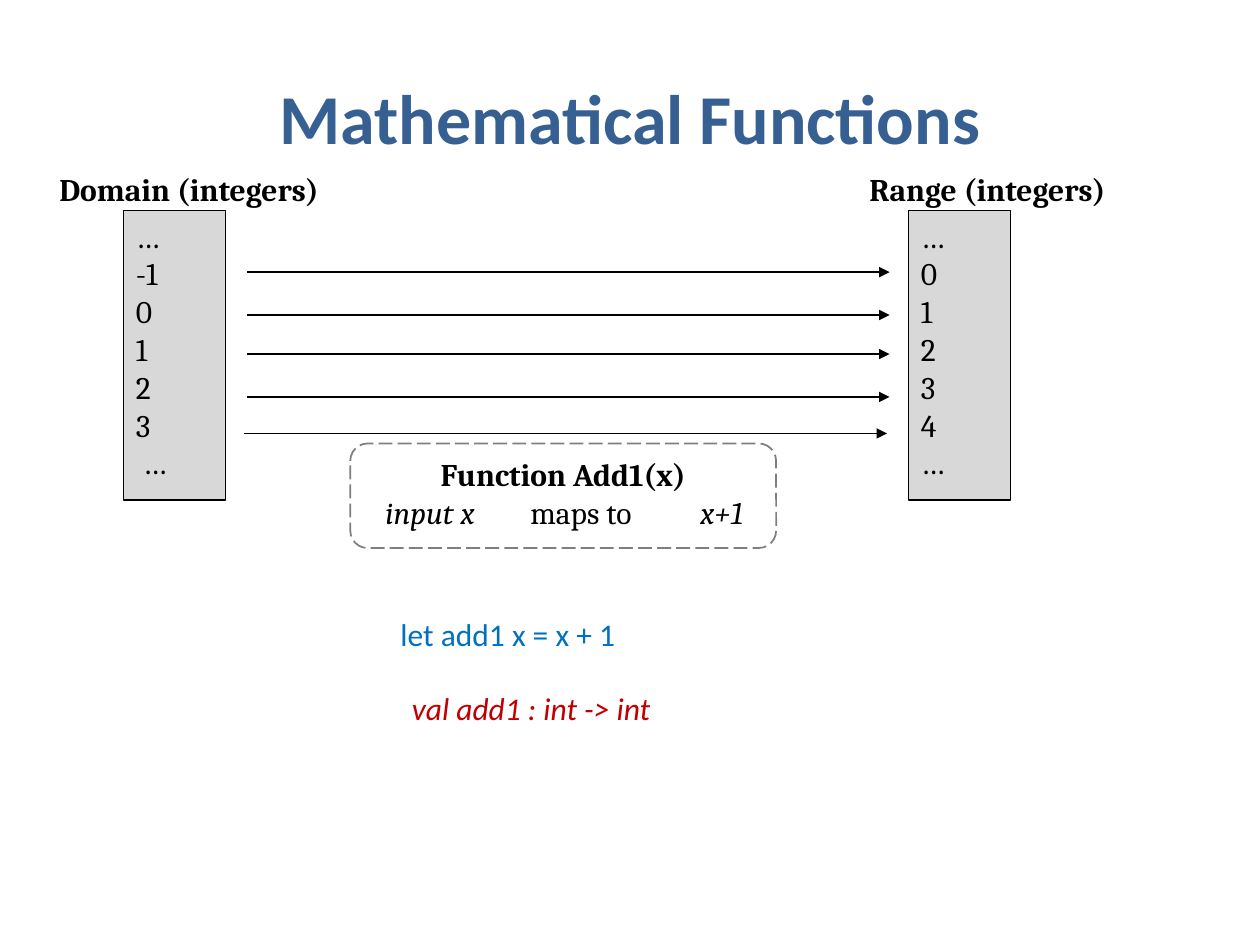
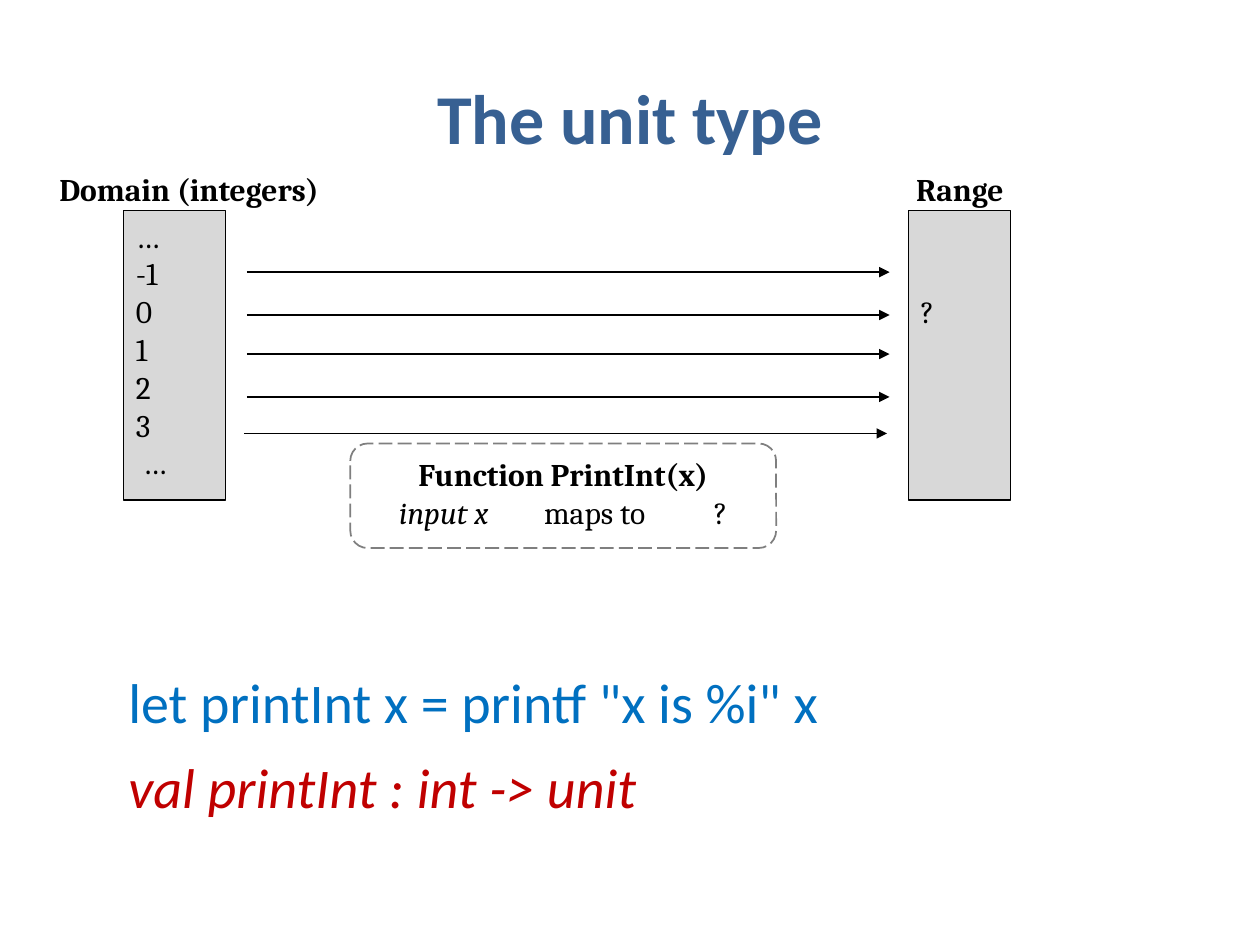
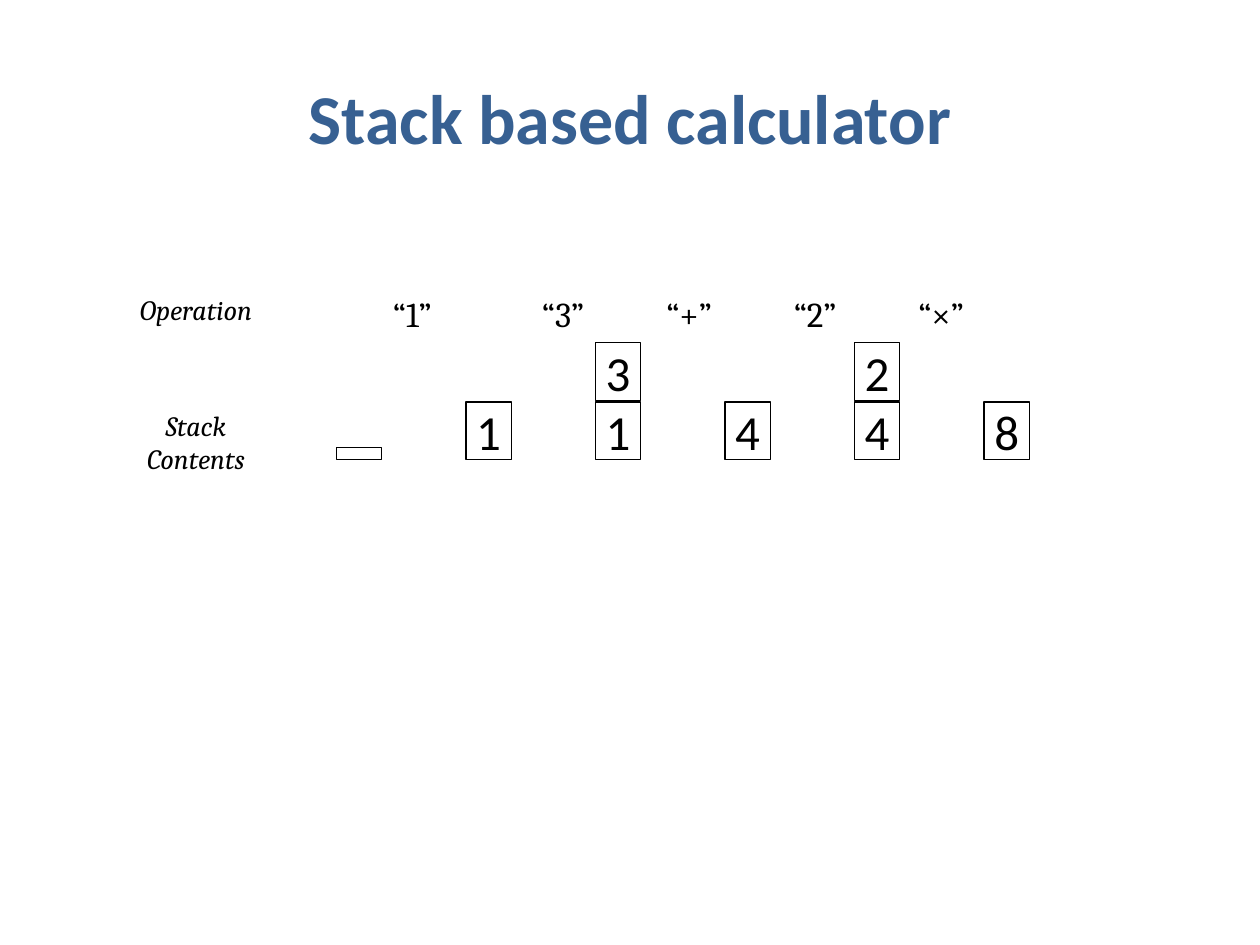
from dataclasses import dataclass
from lxml.etree import SubElement
from pptx import Presentation
from pptx.dml.color import RGBColor
from pptx.enum.dml import MSO_LINE
from pptx.enum.shapes import MSO_CONNECTOR, MSO_SHAPE
from pptx.enum.text import MSO_ANCHOR, PP_ALIGN
from pptx.oxml.ns import qn
from pptx.shapes.autoshape import Shape
from pptx.slide import Slide
from pptx.util import Inches, Pt

COLORS = {
    "title": "376092",
    "text": "000000",
    "panel": "D8D8D8",
    "cell": "FFFFFF",
    "dash": "7F7F7F",
    "code": "0070C0",
    "signature": "C00000",
}
HEADING_FONT, BODY_FONT = "Calibri", "Cambria"
LEFT, CENTER = PP_ALIGN.LEFT, PP_ALIGN.CENTER


@dataclass(frozen=True)
class Box:
    """A rectangle on the slide, in inches."""
    left: float
    top: float
    width: float
    height: float


@dataclass(frozen=True)
class Style:
    """The look of a run of text."""
    size: int = 18
    font: str = BODY_FONT
    color: str = "text"
    bold: bool = False
    italic: bool = False


@dataclass(frozen=True)
class Run:
    """A piece of text with one style."""
    text: str
    style: Style = Style()


@dataclass(frozen=True)
class CodeLine:
    """A line of code below the mapping."""
    box: Box
    run: Run


@dataclass(frozen=True)
class Mapping:
    """A function from a domain to a range, with its code."""
    title: str
    range_label: str
    range_label_box: Box
    range_values: list[str]
    range_inset: float
    function_name: str
    result: Run
    rule_indent: float
    code_lines: list[CodeLine]


TITLE = Style(40, HEADING_FONT, "title", bold=True)
BODY = Style()
BOLD = Style(bold=True)
ITALIC = Style(italic=True)
ROW_LABEL = Style(16, italic=True)
OPERATION = Style(20)
STACK_VALUE = Style(28, HEADING_FONT)


def code_style(size: int) -> Style:
    """Return the style of a definition."""
    return Style(size, HEADING_FONT, "code")


def signature_style(size: int) -> Style:
    """Return the style of a type signature."""
    return Style(size, HEADING_FONT, "signature", italic=True)


def write(shape: Shape, lines: list[list[Run]], align: PP_ALIGN = LEFT,
          anchor: MSO_ANCHOR = MSO_ANCHOR.TOP, inset: float | None = None) -> None:
    """Write lines of runs into a shape, one paragraph a line."""
    frame = shape.text_frame
    frame.word_wrap = True
    frame.vertical_anchor = anchor
    if inset is not None:
        frame.margin_left = frame.margin_right = Inches(inset)
        frame.margin_top = frame.margin_bottom = Inches(inset)
    for index, line in enumerate(lines):
        paragraph = frame.add_paragraph() if index else frame.paragraphs[0]
        paragraph.alignment = align
        for item in line:
            run = paragraph.add_run()
            run.text = item.text
            run.font.size = Pt(item.style.size)
            run.font.name = item.style.font
            run.font.bold = item.style.bold
            run.font.italic = item.style.italic
            run.font.color.rgb = RGBColor.from_string(COLORS[item.style.color])


def add_text(slide: Slide, box: Box, lines: list[list[Run]], align: PP_ALIGN = LEFT,
             anchor: MSO_ANCHOR = MSO_ANCHOR.TOP) -> None:
    """Add a wrapping text box."""
    shape = slide.shapes.add_textbox(Inches(box.left), Inches(box.top),
                                     Inches(box.width), Inches(box.height))
    write(shape, lines, align, anchor)


def add_box(slide: Slide, kind: MSO_SHAPE, box: Box, fill: str | None = None,
            line: str | None = None, width: float = 0.75) -> Shape:
    """Add a preset shape without a shadow."""
    shape = slide.shapes.add_shape(kind, Inches(box.left), Inches(box.top),
                                   Inches(box.width), Inches(box.height))
    shape.shadow.inherit = False
    if fill:
        shape.fill.solid()
        shape.fill.fore_color.rgb = RGBColor.from_string(COLORS[fill])
    else:
        shape.fill.background()
    if line:
        shape.line.color.rgb = RGBColor.from_string(COLORS[line])
        shape.line.width = Pt(width)
    else:
        shape.line.fill.background()
    return shape


def add_arrow(slide: Slide, left: float, top: float, length: float) -> None:
    """Add a thin horizontal arrow that points right."""
    arrow = slide.shapes.add_connector(MSO_CONNECTOR.STRAIGHT, Inches(left), Inches(top),
                                       Inches(left + length), Inches(top))
    arrow.line.color.rgb = RGBColor.from_string(COLORS["text"])
    arrow.line.width = Pt(0.75)
    properties = arrow.line._get_or_add_ln()
    SubElement(properties, qn("a:tailEnd"), type="triangle")
    SubElement(properties.getparent(), qn("a:effectLst"))


def add_label(slide: Slide, box: Box, text: str) -> None:
    """Add the heading above a set of values."""
    label = add_box(slide, MSO_SHAPE.ROUNDED_RECTANGLE, box)
    write(label, [[Run(text, BOLD)]], inset=0)


def add_values(slide: Slide, left: float, values: list[str], top_inset: float = 0.05) -> None:
    """Add a grey panel that lists a set of values."""
    panel = add_box(slide, MSO_SHAPE.RECTANGLE, Box(left, 1.67, 0.81, 2.3), "panel", "text")
    write(panel, [[Run(value)] for value in values])
    panel.text_frame.margin_top = Inches(top_inset)


def add_rule(slide: Slide, mapping: Mapping) -> None:
    """Add the dashed box that states the rule of the function."""
    shape = add_box(slide, MSO_SHAPE.ROUNDED_RECTANGLE, Box(2.78, 3.52, 3.38, 0.83),
                    line="dash", width=1)
    shape.line.dash_style = MSO_LINE.LONG_DASH
    write(shape, [[Run(f"Function {mapping.function_name}(x)", BOLD)],
                  [Run("\tinput x", ITALIC), Run("\tmaps to\t"), mapping.result]], CENTER)
    rule = shape.text_frame.paragraphs[1]
    rule.alignment = LEFT
    tabs = SubElement(rule._p.get_or_add_pPr(), qn("a:tabLst"))
    for offset in (0, 1.15, 2.5):
        SubElement(tabs, qn("a:tab"), pos=str(Inches(mapping.rule_indent + offset)), algn="l")


def add_slide(presentation: Presentation, title: str) -> Slide:
    """Add a blank slide with the shared title."""
    slide = presentation.slides.add_slide(presentation.slide_layouts[6])
    add_text(slide, Box(0.5, 0.3, 9, 1.25), [[Run(title, TITLE)]], CENTER, MSO_ANCHOR.MIDDLE)
    return slide


def add_mapping_slide(presentation: Presentation, mapping: Mapping) -> None:
    """Add a slide that maps a domain to a range."""
    slide = add_slide(presentation, mapping.title)
    add_rule(slide, mapping)
    add_values(slide, 0.98, ["…", "-1", "0", "1", "2", "3", " …"])
    add_label(slide, Box(0.45, 1.33, 2.32, 0.43), "Domain (integers)")
    add_label(slide, mapping.range_label_box, mapping.range_label)
    add_values(slide, 7.21, mapping.range_values, mapping.range_inset)
    for left, top in ((1.96, 2.16), (1.96, 2.5), (1.96, 2.81), (1.96, 3.15), (1.94, 3.44)):
        add_arrow(slide, left, top, 5.1)
    for code_line in mapping.code_lines:
        add_text(slide, code_line.box, [[code_line.run]])


def add_stack_slide(presentation: Presentation) -> None:
    """Add the slide that steps through a stack calculation."""
    slide = add_slide(presentation, "Stack based calculator")
    add_text(slide, Box(0.83, 2.27, 1.45, 0.45), [[Run("Operation", ROW_LABEL)]], CENTER)
    add_text(slide, Box(0.83, 3.19, 1.45, 0.71),
             [[Run("Stack", ROW_LABEL)], [Run("Contents", ROW_LABEL)]], CENTER)
    for step, operation in enumerate("13+2×"):
        add_text(slide, Box(3.02 + step, 2.27, 0.9, 0.45),
                 [[Run(f"“{operation}”", OPERATION)]], CENTER if step else LEFT)

    stack_left, stack_step, cell_width = 2.67, 1.028, 0.36
    add_box(slide, MSO_SHAPE.RECTANGLE, Box(stack_left, 3.55, cell_width, 0.1), "cell", "text")
    for step, stack in enumerate(("1", "13", "4", "42", "8"), start=1):
        for level, value in enumerate(stack):
            box = Box(stack_left + step * stack_step, 3.19 - level * 0.47, cell_width, 0.46)
            cell = add_box(slide, MSO_SHAPE.RECTANGLE, box, "cell", "text")
            write(cell, [[Run(value, STACK_VALUE)]], CENTER, MSO_ANCHOR.MIDDLE, 0)


MAPPINGS = [
    Mapping(
        "Mathematical Functions", "Range (integers)", Box(6.88, 1.33, 2.53, 0.43),
        ["…", "0", "1", "2", "3", "4", "…"], 0.05, "Add1", Run("x+1", ITALIC), 0.14,
        [CodeLine(Box(3.08, 4.83, 3.08, 0.71), Run("let add1 x = x + 1", code_style(18))),
         CodeLine(Box(3.17, 5.42, 3.08, 0.71),
                  Run("val add1 : int -> int", signature_style(18)))],
    ),
    Mapping(
        "The unit type", "Range", Box(7.25, 1.33, 1.25, 0.43),
        ["?"], 0.65, "PrintInt", Run("?"), 0.25,
        [CodeLine(Box(0.92, 5.25, 8.33, 0.64),
                  Run('let printInt x = printf "x is %i" x', code_style(32))),
         CodeLine(Box(0.92, 5.92, 7.58, 0.64),
                  Run("val printInt : int -> unit", signature_style(32)))],
    ),
]

presentation = Presentation()
presentation.slide_width = Inches(10)
presentation.slide_height = Inches(7.5)
for mapping in MAPPINGS:
    add_mapping_slide(presentation, mapping)
add_stack_slide(presentation)
presentation.save("out.pptx")
